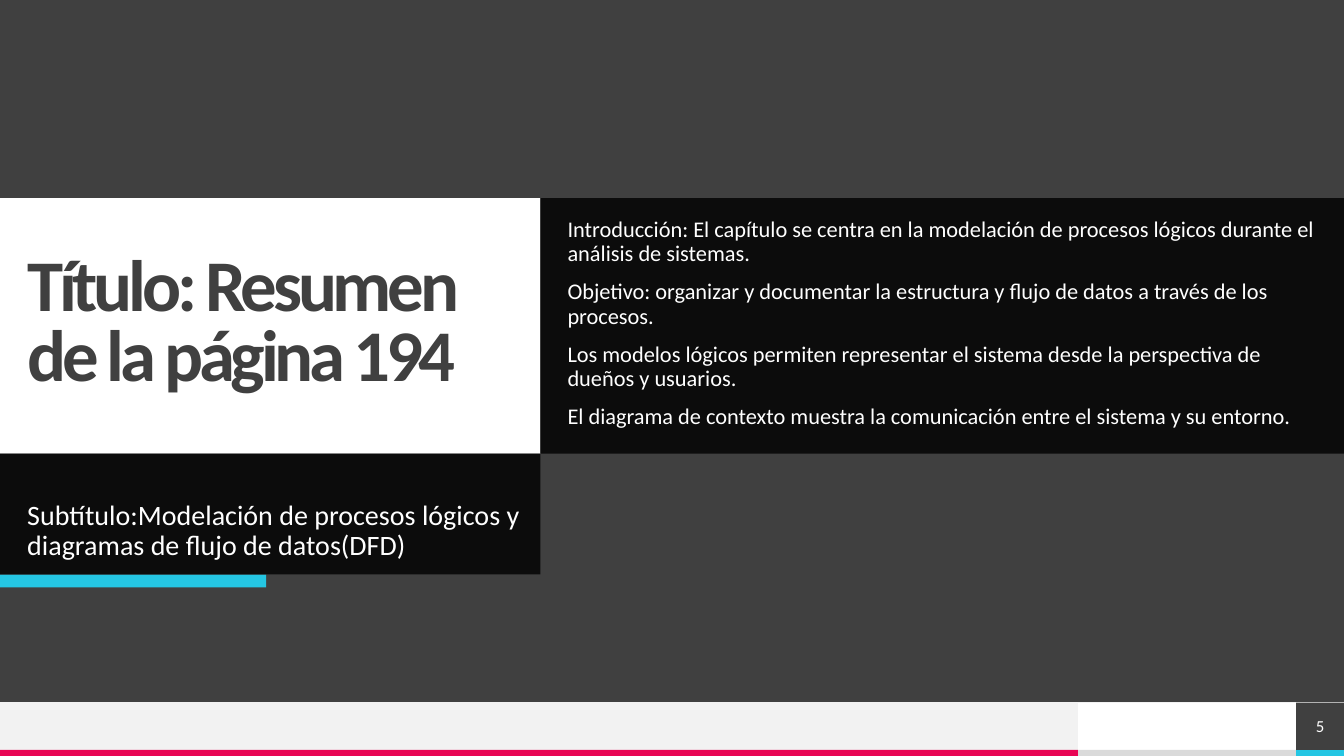
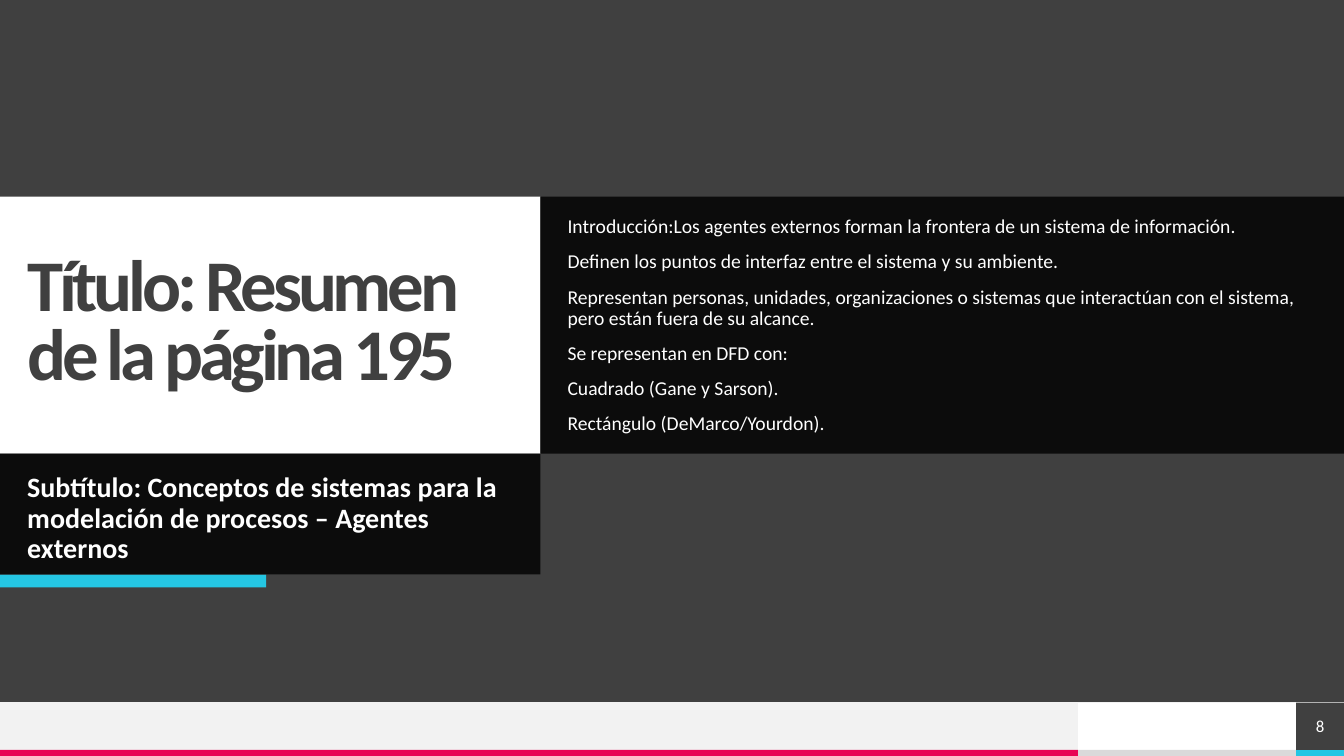
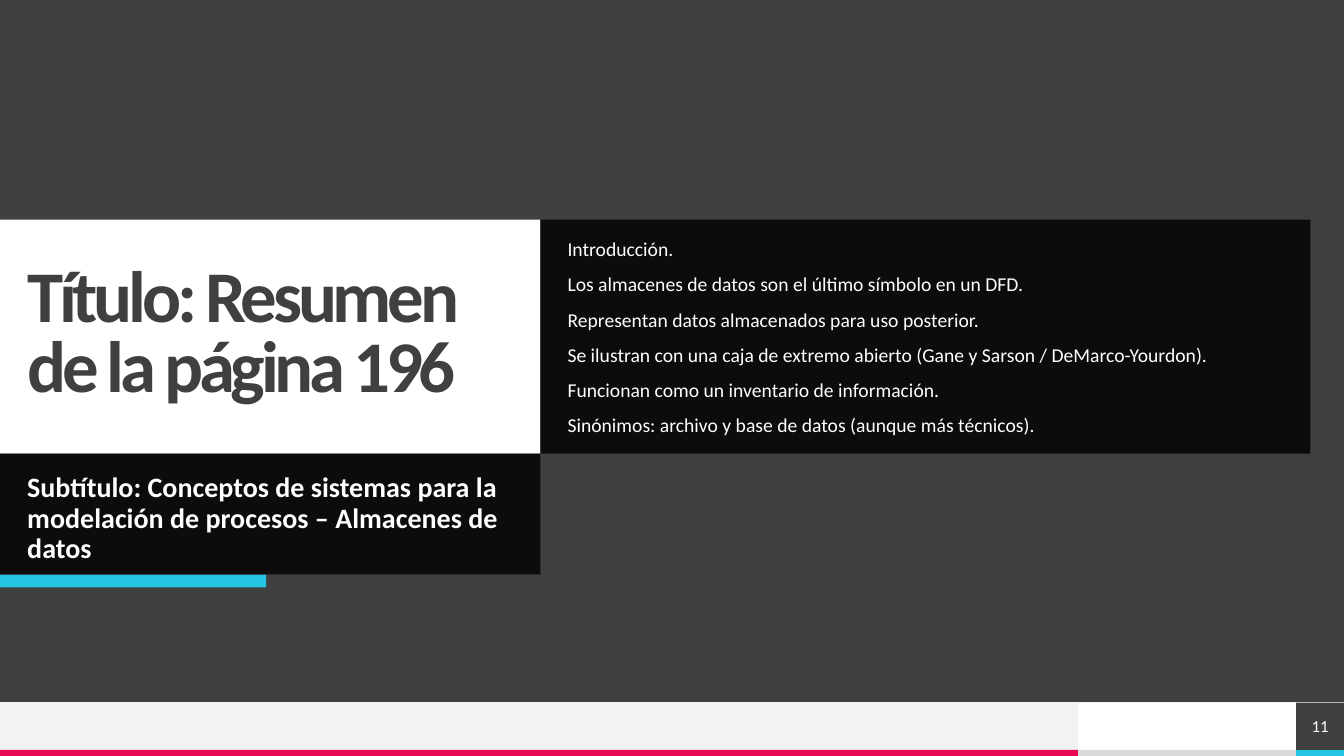
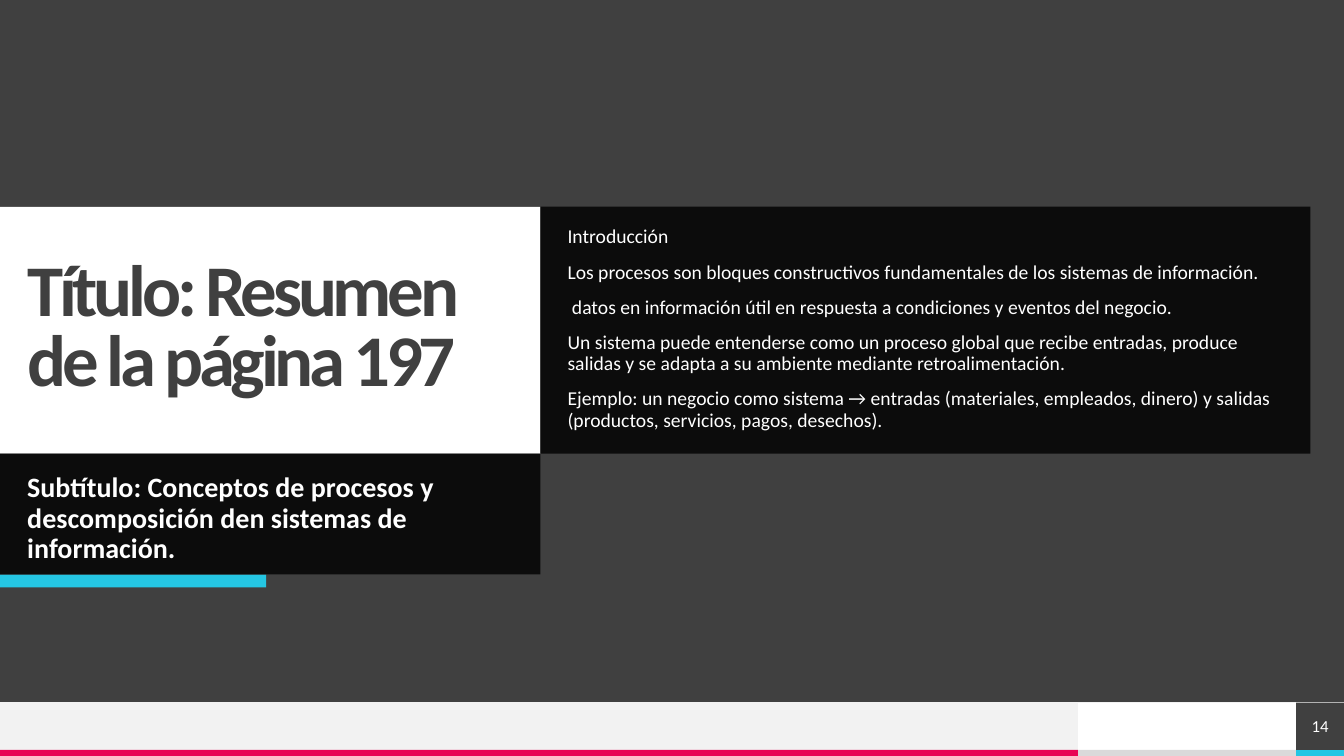
from dataclasses import dataclass
from typing import NamedTuple

from lxml.etree import SubElement
from pptx import Presentation
from pptx.dml.color import RGBColor
from pptx.enum.shapes import MSO_CONNECTOR as Connector
from pptx.enum.shapes import MSO_SHAPE as Preset
from pptx.enum.text import MSO_ANCHOR as Anchor
from pptx.enum.text import MSO_AUTO_SIZE as AutoSize
from pptx.enum.text import PP_ALIGN as Align
from pptx.oxml.ns import qn
from pptx.util import Inches, Pt

WIDTH, HEIGHT = Inches(13.33), Inches(7.5)
FONT = "Calibri"

CHARCOAL = RGBColor(0x40, 0x40, 0x40)
WHITE = RGBColor(0xFF, 0xFF, 0xFF)
BLACK = RGBColor(0x00, 0x00, 0x00)
MIST = RGBColor(0xF2, 0xF2, 0xF2)
SILVER = RGBColor(0xDA, 0xDA, 0xDA)
CYAN = RGBColor(0x25, 0xC6, 0xE3)
MAGENTA = RGBColor(0xE8, 0x05, 0x54)

# Grid lines, in percent of the slide's width (columns) and height (rows)
ACCENT_RIGHT, SPLIT, BAND_SPLIT, NUMBER_LEFT = 19.8, 40.2, 80.2, 96.45
PANEL_BOTTOM, SUBTITLE_BOTTOM, ACCENT_BOTTOM = 60, 76, 77.7
FOOTER_TOP, STRIPE_TOP = 92.93, 99.2


class Box(NamedTuple):
    """Edges in percent of the slide."""
    left: float
    top: float
    right: float
    bottom: float

    def lengths(self) -> tuple[int, int, int, int]:
        """Left, top, width and height for python-pptx."""
        return (int(WIDTH * self.left / 100), int(HEIGHT * self.top / 100),
                int(WIDTH * (self.right - self.left) / 100),
                int(HEIGHT * (self.bottom - self.top) / 100))


class Insets(NamedTuple):
    left: float
    top: float
    right: float
    bottom: float


class TextStyle(NamedTuple):
    size: float
    color: RGBColor = WHITE
    bold: bool = False
    tracking: float = 0


@dataclass(frozen=True)
class Summary:
    page: int
    number: int
    subtitle: str
    points: tuple[str, ...]
    top: float
    right: float = 97.5
    point_size: int = 14
    subtitle_bold: bool = True
    subtitle_inset: float = 0.2


PANEL_INSETS = Insets(0.27, 0.2, 0.18, 0.2)
TITLE_STYLE = TextStyle(52, CHARCOAL, True, -3)

FOOTER_BLOCKS = (
    (Box(BAND_SPLIT, FOOTER_TOP, NUMBER_LEFT, STRIPE_TOP), WHITE),
    (Box(0, FOOTER_TOP, BAND_SPLIT, STRIPE_TOP), MIST),
    (Box(0, SUBTITLE_BOTTOM, ACCENT_RIGHT, ACCENT_BOTTOM), CYAN),
    (Box(BAND_SPLIT, STRIPE_TOP, NUMBER_LEFT, 100), SILVER),
    (Box(0, STRIPE_TOP, BAND_SPLIT, 100), MAGENTA),
    (Box(NUMBER_LEFT, STRIPE_TOP, 100, 100), CYAN),
)

SUMMARIES = (
    Summary(194, 5,
            "Subtítulo:Modelación de procesos lógicos y diagramas de flujo de datos(DFD)",
            ("Introducción: El capítulo se centra en la modelación de procesos lógicos "
             "durante el análisis de sistemas.",
             "Objetivo: organizar y documentar la estructura y flujo de datos a través "
             "de los procesos.",
             "Los modelos lógicos permiten representar el sistema desde la perspectiva "
             "de dueños y usuarios.",
             "El diagrama de contexto muestra la comunicación entre el sistema y su "
             "entorno."),
            top=26.2, right=100, point_size=16, subtitle_bold=False,
            subtitle_inset=0.47),
    Summary(195, 8,
            "Subtítulo: Conceptos de sistemas para la modelación de procesos – "
            "Agentes externos",
            ("Introducción:Los agentes externos forman la frontera de un sistema de "
             "información.",
             "Definen los puntos de interfaz entre el sistema y su ambiente.",
             "Representan personas, unidades, organizaciones o sistemas que interactúan "
             "con el sistema, pero están fuera de su alcance.",
             "Se representan en DFD con:",
             "Cuadrado (Gane y Sarson).",
             "Rectángulo (DeMarco/Yourdon)."),
            top=26, right=100),
    Summary(196, 11,
            "Subtítulo: Conceptos de sistemas para la modelación de procesos – "
            "Almacenes de datos",
            ("Introducción.",
             "Los almacenes de datos son el último símbolo en un DFD.",
             "Representan datos almacenados para uso posterior.",
             "Se ilustran con una caja de extremo abierto (Gane y Sarson / "
             "DeMarco-Yourdon).",
             "Funcionan como un inventario de información.",
             "Sinónimos: archivo y base de datos (aunque más técnicos)."),
            top=29.05),
    Summary(197, 14,
            "Subtítulo: Conceptos de procesos y descomposición den sistemas de "
            "información.",
            ("Introducción",
             "Los procesos son bloques constructivos fundamentales de los sistemas de "
             "información.",
             " datos en información útil en respuesta a condiciones y eventos del "
             "negocio.",
             "Un sistema puede entenderse como un proceso global que recibe entradas, "
             "produce salidas y se adapta a su ambiente mediante retroalimentación.",
             "Ejemplo: un negocio como sistema → entradas (materiales, empleados, "
             "dinero) y salidas (productos, servicios, pagos, desechos)."),
            top=27.35),
)


def paint(shape, color: RGBColor, opacity: int = 100) -> None:
    shape.fill.solid()
    shape.fill.fore_color.rgb = color
    if opacity < 100:
        color_element = shape.fill._xPr.find(qn("a:solidFill"))[0]
        SubElement(color_element, qn("a:alpha")).set("val", str(opacity * 1000))


def add_block(slide, box: Box, color: RGBColor, opacity: int = 100):
    shape = slide.shapes.add_shape(Preset.RECTANGLE, *box.lengths())
    shape.shadow.inherit = False
    shape.line.fill.background()
    paint(shape, color, opacity)
    return shape


def style_run(run, style: TextStyle) -> None:
    run.font.name = FONT
    run.font.size = Pt(style.size)
    run.font.bold = style.bold
    run.font.color.rgb = style.color
    if style.tracking:
        run._r.get_or_add_rPr().set("spc", str(round(style.tracking * 100)))


def set_frame(text_frame, insets: Insets, anchor: Anchor) -> None:
    text_frame.word_wrap = True
    text_frame.auto_size = AutoSize.NONE
    text_frame.vertical_anchor = anchor
    text_frame.margin_left = Inches(insets.left)
    text_frame.margin_top = Inches(insets.top)
    text_frame.margin_right = Inches(insets.right)
    text_frame.margin_bottom = Inches(insets.bottom)


def write(shape, text: str, style: TextStyle, insets: Insets = PANEL_INSETS,
          anchor: Anchor = Anchor.TOP, align: Align = Align.LEFT,
          line_spacing: float = 0.9, space_before: float = 10) -> None:
    """Fill a shape with text, one paragraph per line, in a single style."""
    set_frame(shape.text_frame, insets, anchor)
    shape.text_frame.text = text
    for paragraph in shape.text_frame.paragraphs:
        paragraph.alignment = align
        paragraph.line_spacing = line_spacing
        paragraph.space_before = Pt(space_before)
        for run in paragraph.runs:
            style_run(run, style)


def add_footer(slide, number: int) -> None:
    for box, color in FOOTER_BLOCKS:
        add_block(slide, box, color)
    left, top, width, _ = Box(0, FOOTER_TOP, 100, 100).lengths()
    rule = slide.shapes.add_connector(Connector.STRAIGHT, left + width, top, left, top)
    rule.line.color.rgb = MIST
    rule.line.width = Pt(0.5)
    SubElement(rule._element.spPr, qn("a:effectLst"))
    number_block = add_block(slide, Box(NUMBER_LEFT, FOOTER_TOP, 100, STRIPE_TOP), CHARCOAL)
    write(number_block, str(number), TextStyle(12), Insets(0, 0, 0, 0),
          Anchor.MIDDLE, Align.CENTER, line_spacing=1, space_before=0)


def add_title(slide, text: str, box: Box) -> None:
    title = slide.shapes.title
    title.left, title.top, title.width, title.height = box.lengths()
    paint(title, WHITE)
    write(title, text, TITLE_STYLE, anchor=Anchor.MIDDLE, line_spacing=0.8,
          space_before=0)


def add_summary(presentation, summary: Summary) -> None:
    slide = presentation.slides.add_slide(presentation.slide_layouts[5])
    add_footer(slide, summary.number)
    add_title(slide, f"Título: Resumen de la página {summary.page}",
              Box(0, summary.top, SPLIT, PANEL_BOTTOM))
    points = add_block(slide, Box(SPLIT, summary.top, summary.right, PANEL_BOTTOM),
                       BLACK, 80)
    write(points, "\n".join(summary.points), TextStyle(summary.point_size))
    subtitle = add_block(slide, Box(0, PANEL_BOTTOM, SPLIT, SUBTITLE_BOTTOM), BLACK, 80)
    write(subtitle, summary.subtitle, TextStyle(20, bold=summary.subtitle_bold),
          PANEL_INSETS._replace(top=summary.subtitle_inset))


def main() -> None:
    presentation = Presentation()
    presentation.slide_width, presentation.slide_height = WIDTH, HEIGHT
    background = presentation.slide_master.background.fill
    background.solid()
    background.fore_color.rgb = CHARCOAL
    for summary in SUMMARIES:
        add_summary(presentation, summary)
    presentation.save("out.pptx")


if __name__ == "__main__":
    main()
